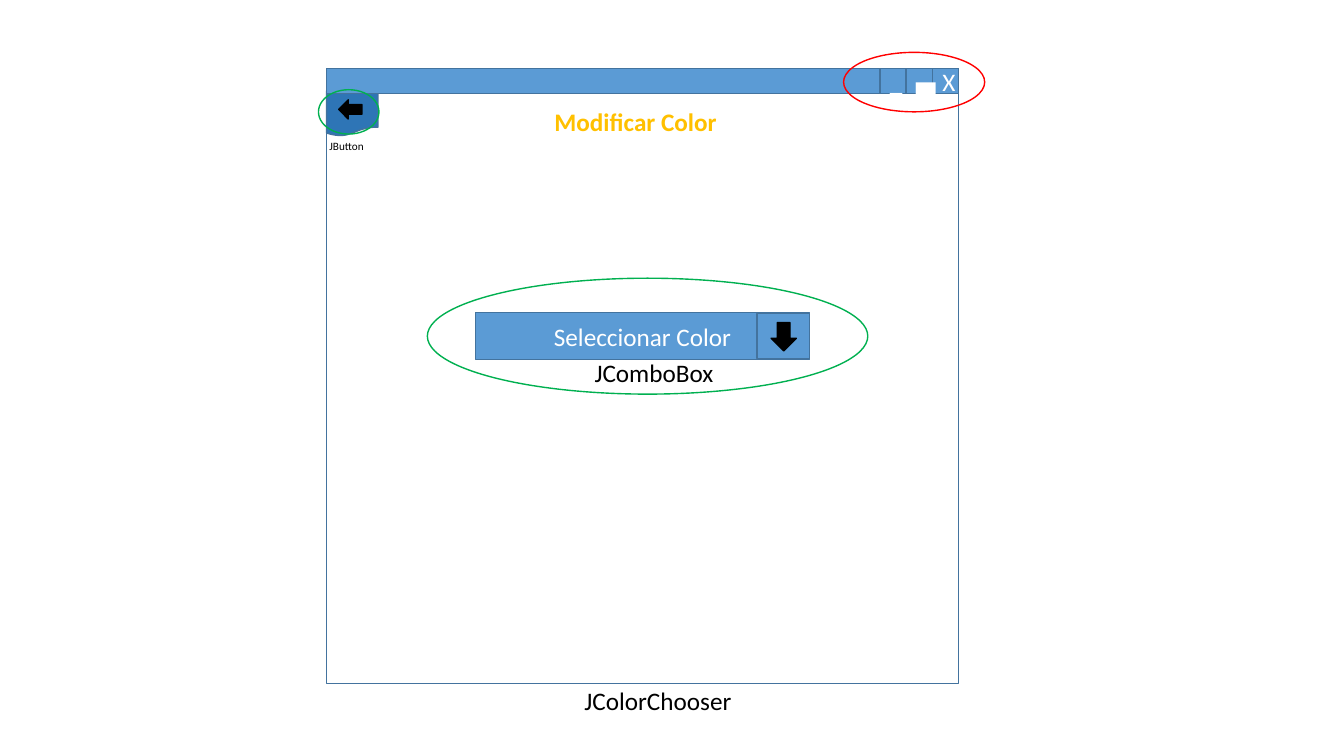
"""Builds a slide with the mock-up of a color chooser window."""
from pptx import Presentation
from pptx.dml.color import RGBColor
from pptx.enum.shapes import MSO_SHAPE
from pptx.enum.text import MSO_ANCHOR, MSO_AUTO_SIZE, PP_ALIGN
from pptx.util import Pt

BLUE, EDGE, WHITE, BLACK, GREEN = "5B9BD5", "43739E", "FFFFFF", "000000", "00B050"


def write(frame, text, size, color, align=PP_ALIGN.LEFT, anchor=MSO_ANCHOR.TOP):
    frame.text = text
    frame.vertical_anchor = anchor
    paragraph = frame.paragraphs[0]
    paragraph.alignment = align
    paragraph.font.name = "Calibri"
    paragraph.font.size = Pt(size)
    paragraph.font.color.rgb = RGBColor.from_string(color)
    return paragraph


def draw(kind, left, top, width, height, fill=BLUE, line=EDGE, text=""):
    shape = slide.shapes.add_shape(kind, Pt(left), Pt(top), Pt(width), Pt(height))
    shape.shadow.inherit = False
    if fill:
        shape.fill.solid()
        shape.fill.fore_color.rgb = RGBColor.from_string(fill)
    else:
        shape.fill.background()
    shape.line.color.rgb = RGBColor.from_string(line)
    shape.line.width = Pt(1)
    if text:
        write(shape.text_frame, text, 18, WHITE, PP_ALIGN.CENTER, MSO_ANCHOR.MIDDLE)
    return shape


presentation = Presentation()
presentation.slide_width, presentation.slide_height = Pt(960), Pt(540)
slide = presentation.slides.add_slide(presentation.slide_layouts[5])

heading = slide.shapes.title
heading.left, heading.top, heading.width, heading.height = Pt(388.8), Pt(72), Pt(141), Pt(51)
heading.text_frame.auto_size = MSO_AUTO_SIZE.NONE
write(heading.text_frame, "Modificar Color", 18, "FFC000").font.bold = True

window = draw(MSO_SHAPE.RECTANGLE, 233.3, 64.8, 451.4, 423.4, WHITE)
heading._element.addprevious(window._element)

draw(MSO_SHAPE.RECTANGLE, 339.8, 223.2, 238.3, 33.8, text="Seleccionar Color")
draw(MSO_SHAPE.RECTANGLE, 540.7, 223.9, 37.4, 32.4)
draw(MSO_SHAPE.DOWN_ARROW, 550.8, 230.4, 18, 20.2, BLACK, BLACK)

draw(MSO_SHAPE.FLOWCHART_DOCUMENT, 233.3, 64.8, 36.7, 32.4, "2E75B6")
draw(MSO_SHAPE.LEFT_ARROW, 241.9, 71.3, 16.6, 13.7, BLACK, BLACK)

for name, left, top, width, height, size, wrap in [
    ("JButton", 228.2, 95.8, 50.4, 17.3, 8, True),
    ("JComboBox", 417.6, 252, 100, 28.8, 18, False),
    ("JColorChooser", 410.4, 486, 121, 28.8, 18, False),
]:
    label = slide.shapes.add_textbox(Pt(left), Pt(top), Pt(width), Pt(height))
    label.text_frame.word_wrap = wrap
    label.text_frame.auto_size = MSO_AUTO_SIZE.SHAPE_TO_FIT_TEXT
    write(label.text_frame, name, size, BLACK)

draw(MSO_SHAPE.RECTANGLE, 233.3, 49, 451.4, 18)
for position, symbol in enumerate("X▄_"):
    draw(MSO_SHAPE.RECTANGLE, 666 - 18.7 * position, 49, 18.7, 18, text=symbol)

for left, top, width, height, color in [
    (602.6, 37.4, 100.8, 42.5, "FF0000"),
    (227.5, 64.1, 43.2, 31.7, GREEN),
    (305.3, 198.7, 314.6, 82.8, GREEN),
]:
    draw(MSO_SHAPE.OVAL, left, top, width, height, None, color)

presentation.save("out.pptx")
